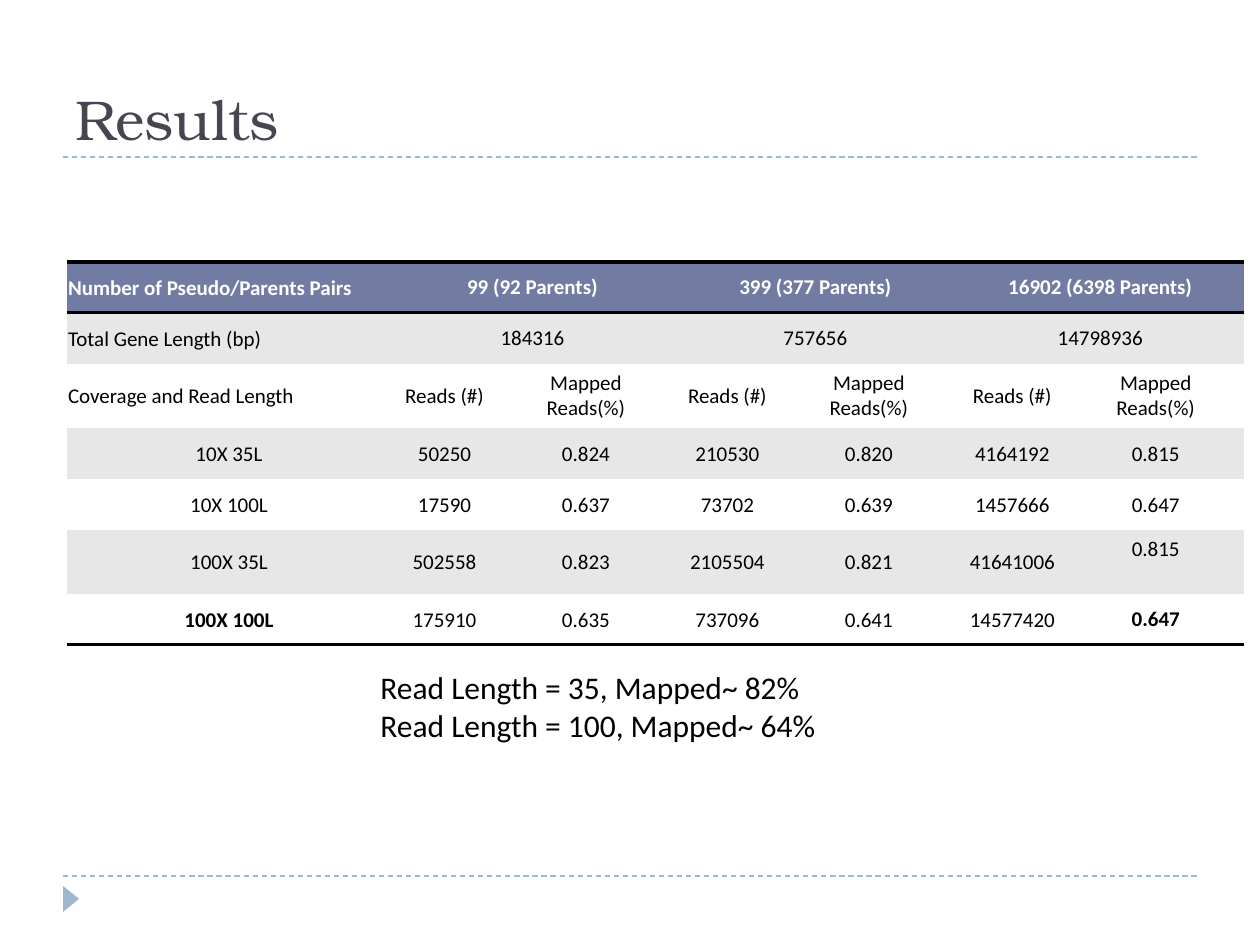
from lxml import etree
from pptx import Presentation
from pptx.dml.color import RGBColor
from pptx.enum.dml import MSO_LINE
from pptx.enum.shapes import MSO_CONNECTOR, MSO_SHAPE
from pptx.enum.text import MSO_ANCHOR, MSO_AUTO_SIZE, PP_ALIGN
from pptx.oxml.ns import qn
from pptx.util import Pt

PX = 914400 // 126
STRAIGHT = MSO_CONNECTOR.STRAIGHT
TRIANGLE = MSO_SHAPE.ISOSCELES_TRIANGLE
DASH = MSO_LINE.DASH
TOP, MIDDLE, BOTTOM = MSO_ANCHOR.TOP, MSO_ANCHOR.MIDDLE, MSO_ANCHOR.BOTTOM
LEFT, CENTER = PP_ALIGN.LEFT, PP_ALIGN.CENTER
FIT_SHAPE = MSO_AUTO_SIZE.SHAPE_TO_FIT_TEXT

COLORS = {
    "title": "464653", "accent": "9FB8CD", "header": "727CA3",
    "band": "E7E7E7", "plain": "FFFFFF", "text": "000000", "rule": "000000",
}
PLAIN_TABLE_STYLE = "{2D5ABB26-0587-4C30-8999-92F81FD0307C}"

COLUMN_WIDTHS = [324, 107, 176, 107, 176, 111, 176]
ROW_HEIGHTS = [51, 51, 64, 51, 51, 64, 51]
RESULTS = [
    ["Number of Pseudo/Parents Pairs", "99 (92 Parents)", "",
     "399 (377 Parents)", "", "16902 (6398 Parents)", ""],
    ["Total Gene Length (bp)", "184316", "", "757656", "", "14798936", ""],
    ["Coverage and Read Length"] + ["Reads (#)", "Mapped Reads(%)"] * 3,
    ["10X 35L", "50250", "0.824", "210530", "0.820", "4164192", "0.815"],
    ["10X 100L", "17590", "0.637", "73702", "0.639", "1457666", "0.647"],
    ["100X 35L", "502558", "0.823", "2105504", "0.821", "41641006", "0.815"],
    ["100X 100L", "175910", "0.635", "737096", "0.641", "14577420", "0.647"],
]
HEADING_ROWS = 3
MERGED_ROWS = 2
LAST_ROW, LAST_COLUMN = len(RESULTS) - 1, len(COLUMN_WIDTHS) - 1
BOLD_CELLS = {(LAST_ROW, 0), (LAST_ROW, LAST_COLUMN)}
TOP_CELLS = {(5, LAST_COLUMN)}


def px(*lengths):
    """Turn pixels into a list of EMU lengths."""
    return [length * PX for length in lengths]


def rgb(name):
    """Look up a named colour."""
    return RGBColor.from_string(COLORS[name])


def style_text(frame, font, size, color, bold=False, align=LEFT):
    """Format every run in a text frame."""
    for paragraph in frame.paragraphs:
        paragraph.alignment = align
        for run in paragraph.runs:
            run.font.name = font
            run.font.size = Pt(size)
            run.font.bold = bold
            run.font.color.rgb = rgb(color)


def add_text(slide, box, text, font, size, color, anchor=TOP, wrap=True):
    """Add a text box and return its frame."""
    frame = slide.shapes.add_textbox(*px(*box)).text_frame
    frame.word_wrap = wrap
    frame.vertical_anchor = anchor
    frame.text = text
    style_text(frame, font, size, color)
    return frame


def add_divider(slide, y):
    """Add a dashed rule across the slide."""
    divider = slide.shapes.add_connector(STRAIGHT, *px(63, y, 1197, y))
    divider.line.color.rgb = rgb("accent")
    divider.line.width = Pt(0.75)
    divider.line.dash_style = DASH
    etree.SubElement(divider._element.spPr, qn("a:effectLst"))


def add_page_marker(slide):
    """Add the small triangle pointing right in the footer."""
    marker = slide.shapes.add_shape(TRIANGLE, *px(58, 891, 26, 16))
    marker.rotation = 90
    marker.shadow.inherit = False
    marker.fill.solid()
    marker.fill.fore_color.rgb = rgb("accent")
    marker.line.fill.background()


def add_border(cell, side):
    """Draw a 2 pt border on one side (lnT or lnB) of a cell."""
    border = etree.SubElement(cell._tc.get_or_add_tcPr(), qn("a:" + side), w=str(Pt(2)))
    fill = etree.SubElement(border, qn("a:solidFill"))
    etree.SubElement(fill, qn("a:srgbClr"), val=COLORS["rule"])


def fill_cell(cell, row, column, text):
    """Write and format one cell by its place in the table."""
    header = row == 0
    if header:
        add_border(cell, "lnT")
    if row in (0, LAST_ROW):
        add_border(cell, "lnB")
    cell.fill.solid()
    cell.fill.fore_color.rgb = rgb("header" if header else "band" if row % 2 else "plain")
    raised = (row, column) in TOP_CELLS
    cell.vertical_anchor = TOP if raised else MIDDLE
    roomy = (row < HEADING_ROWS and column > 0) or (row >= 5 and column == LAST_COLUMN)
    if not roomy:
        cell.margin_left = cell.margin_right = cell.margin_top = PX
        cell.margin_bottom = 0
    cell.text_frame.text = text
    style_text(cell.text_frame, "Calibri", 12, "plain" if header else "text",
               header or (row, column) in BOLD_CELLS,
               LEFT if row < HEADING_ROWS and column == 0 else CENTER)


def add_results_table(slide):
    """Add the table of read counts and mapped shares."""
    box = px(67, 262, sum(COLUMN_WIDTHS), sum(ROW_HEIGHTS))
    table = slide.shapes.add_table(len(RESULTS), len(COLUMN_WIDTHS), *box).table
    table.first_row = table.horz_banding = False
    table._tbl.tblPr.find(qn("a:tableStyleId")).text = PLAIN_TABLE_STYLE
    for column, width in zip(table.columns, px(*COLUMN_WIDTHS)):
        column.width = width
    for row, height in zip(table.rows, px(*ROW_HEIGHTS)):
        row.height = height
    for r, values in enumerate(RESULTS):
        for c, text in enumerate(values):
            fill_cell(table.cell(r, c), r, c, text)
    for r in range(MERGED_ROWS):
        for c in range(1, LAST_COLUMN, 2):
            table.cell(r, c).merge(table.cell(r, c + 1))


def main():
    """Build the results slide and save it."""
    deck = Presentation()
    deck.slide_width, deck.slide_height = px(1260, 945)
    slide = deck.slides.add_slide(deck.slide_layouts[6])
    for y in (876, 157):
        add_divider(slide, y)
    add_page_marker(slide)
    add_text(slide, (63, 21, 1134, 137), "Results", "TeX Gyre Bonum", 32, "title", BOTTOM)
    add_results_table(slide)
    summary = add_text(slide, (368, 662, 464, 89),
                       "Read Length = 35, Mapped~ 82%\nRead Length = 100, Mapped~ 64%",
                       "Calibri", 18, "text", wrap=False)
    summary.auto_size = FIT_SHAPE
    deck.save("out.pptx")


main()
